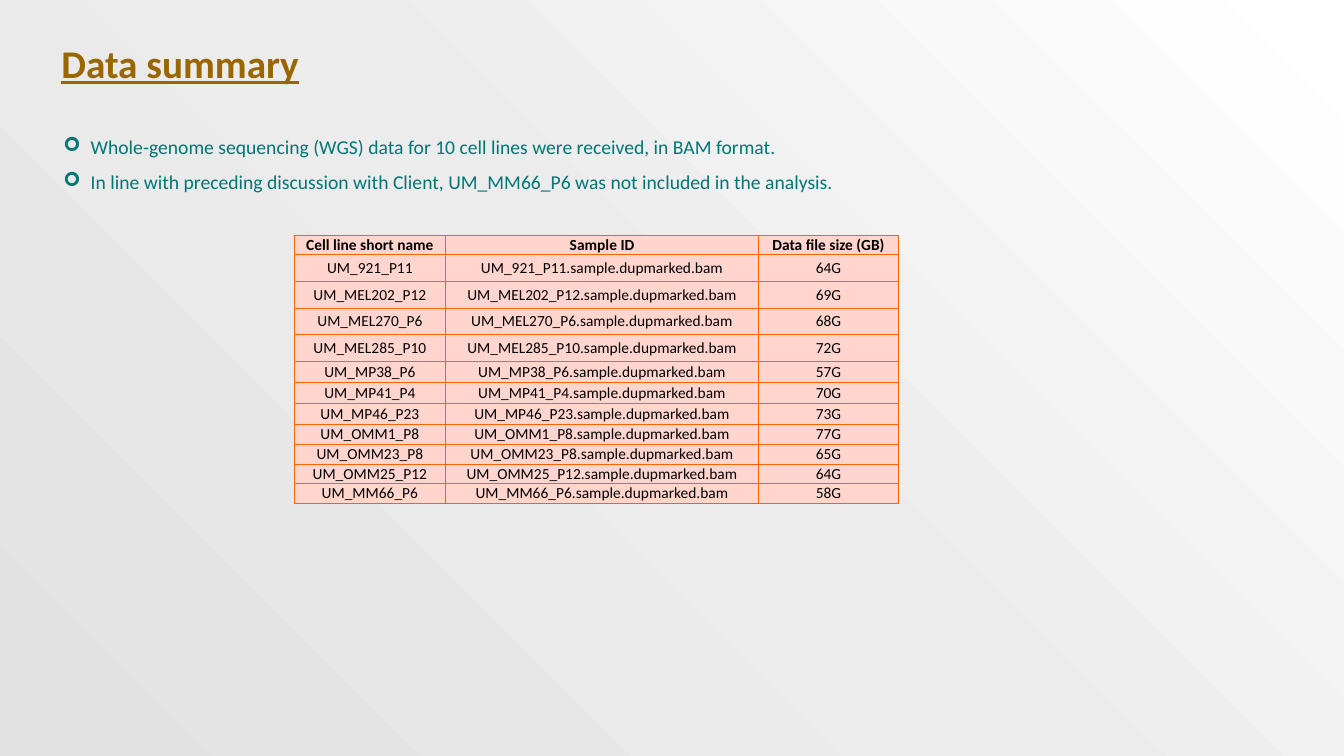
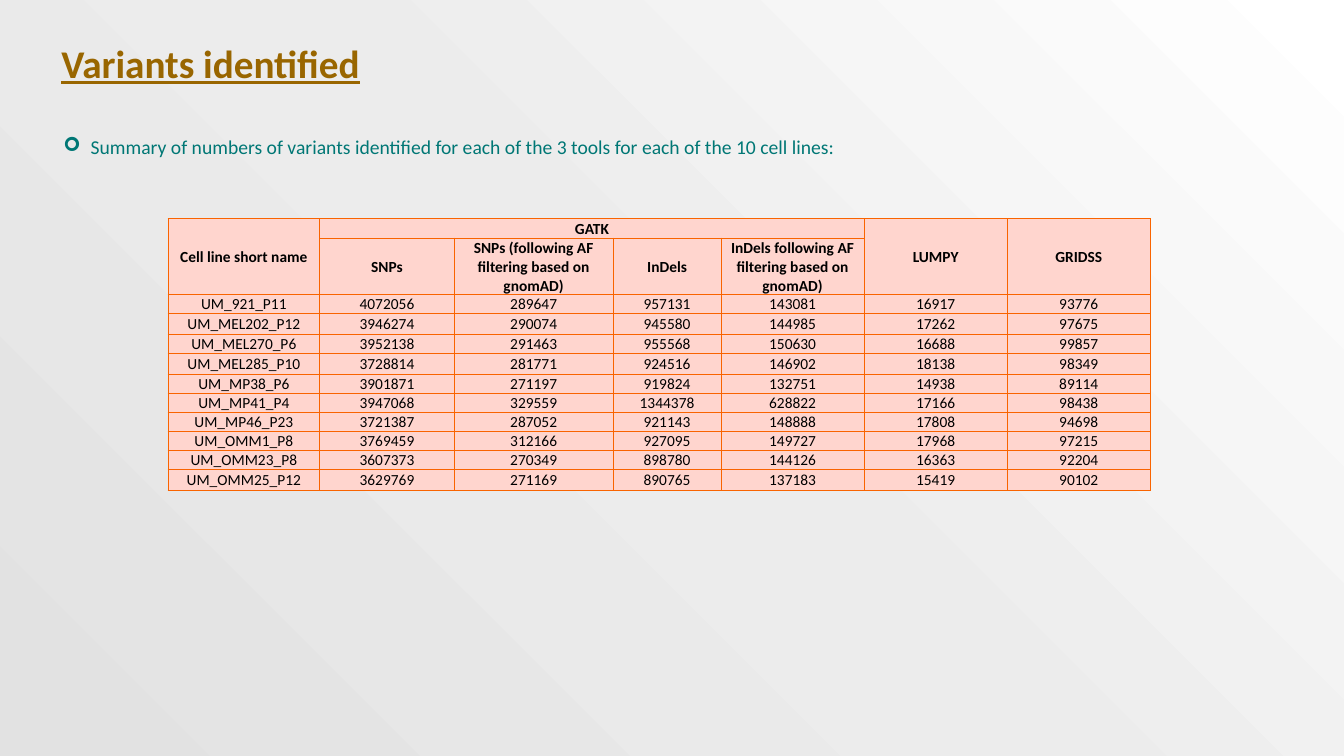
from copy import deepcopy

from lxml.etree import SubElement
from pptx import Presentation
from pptx.dml.color import RGBColor
from pptx.enum.text import MSO_ANCHOR as Anchor, PP_ALIGN as Align
from pptx.oxml.ns import qn
from pptx.util import Inches, Pt

FONT = "Calibri"
TITLE_COLOUR = "996600"
BULLET_COLOUR = "007775"
CELL_TEXT = "000000"
CELL_FILL = "FFD5CE"
CELL_BORDER = "F96400"
BACKDROP = [(0, "E2E2E2"), (0.5, "ECECEC"), (1, "FFFFFF")]

SAMPLES = [
    ("UM_921_P11", "64G"), ("UM_MEL202_P12", "69G"), ("UM_MEL270_P6", "68G"),
    ("UM_MEL285_P10", "72G"), ("UM_MP38_P6", "57G"), ("UM_MP41_P4", "70G"),
    ("UM_MP46_P23", "73G"), ("UM_OMM1_P8", "77G"), ("UM_OMM23_P8", "65G"),
    ("UM_OMM25_P12", "64G"), ("UM_MM66_P6", "58G"),
]
VARIANT_COUNTS = [
    (4072056, 289647, 957131, 143081, 16917, 93776),
    (3946274, 290074, 945580, 144985, 17262, 97675),
    (3952138, 291463, 955568, 150630, 16688, 99857),
    (3728814, 281771, 924516, 146902, 18138, 98349),
    (3901871, 271197, 919824, 132751, 14938, 89114),
    (3947068, 329559, 1344378, 628822, 17166, 98438),
    (3721387, 287052, 921143, 148888, 17808, 94698),
    (3769459, 312166, 927095, 149727, 17968, 97215),
    (3607373, 270349, 898780, 144126, 16363, 92204),
    (3629769, 271169, 890765, 137183, 15419, 90102),
]


def colour(value):
    return RGBColor.from_string(value)


def write(paragraph, text, size=11, color=CELL_TEXT, bold=False,
          underline=False, align=Align.LEFT, spacing=None):
    paragraph.alignment = align
    if spacing:
        paragraph.line_spacing = spacing
    run = paragraph.add_run()
    run.text = text
    font = run.font
    font.name, font.size = FONT, Pt(size)
    font.bold, font.underline = bold, underline
    font.color.rgb = colour(color)


def add_bullet(paragraph, symbol, indent):
    properties = paragraph._p.get_or_add_pPr()
    properties.set("marL", str(indent))
    properties.set("indent", str(-indent))
    SubElement(properties, qn("a:buFont"), typeface="Wingdings")
    SubElement(properties, qn("a:buChar"), char=symbol)


def add_borders(cell, width=0.75):
    properties = cell._tc.get_or_add_tcPr()
    for side in ("lnL", "lnR", "lnT", "lnB"):
        line = SubElement(properties, qn(f"a:{side}"), w=str(Pt(width)))
        fill = SubElement(line, qn("a:solidFill"))
        SubElement(fill, qn("a:srgbClr"), val=CELL_BORDER)


class Deck:
    """Shared style and current slide; lengths are percentages of the slide."""

    def __init__(self):
        self.presentation = Presentation()
        self.presentation.slide_width = Inches(13.33)
        self.presentation.slide_height = Inches(7.5)
        self.slide = None
        self.paint_backdrop()

    def across(self, percent):
        return round(self.presentation.slide_width * percent / 100)

    def down(self, percent):
        return round(self.presentation.slide_height * percent / 100)

    def box(self, left, top, width, height):
        return (self.across(left), self.down(top),
                self.across(width), self.down(height))

    def paint_backdrop(self):
        master = self.presentation.slide_master
        fill = master.background.fill
        fill.gradient()
        fill.gradient_angle = 45
        stop_list = master.element.find(".//" + qn("a:gsLst"))
        stop_list.append(deepcopy(stop_list[-1]))
        for stop, (position, value) in zip(fill.gradient_stops, BACKDROP):
            stop.position = position
            stop.color.rgb = colour(value)

    def add_slide(self, title):
        blank = self.presentation.slide_layouts[6]
        self.slide = self.presentation.slides.add_slide(blank)
        frame = self.add_text_frame(3.83, 4.13, 71.87, 8.4)
        frame.vertical_anchor = Anchor.MIDDLE
        write(frame.paragraphs[0], title, size=28, color=TITLE_COLOUR,
              bold=True, underline=True)

    def add_text_frame(self, *area):
        frame = self.slide.shapes.add_textbox(*self.box(*area)).text_frame
        frame.word_wrap = True
        return frame

    def add_bullets(self, *lines):
        frame = self.add_text_frame(3.98, 15.6, 92, 5 * len(lines) + 1.5)
        for index, line in enumerate(lines):
            paragraph = frame.add_paragraph() if index else frame.paragraphs[0]
            write(paragraph, line, size=14, color=BULLET_COLOUR, spacing=1.5)
            add_bullet(paragraph, "➢", Inches(0.27))

    def add_table(self, left, top, widths, heights, rows, headers=1, merges=()):
        """Merges are pairs of (row, column) corners."""
        area = self.box(left, top, sum(widths), sum(heights))
        table = self.slide.shapes.add_table(len(rows), len(widths), *area).table
        table.first_row = table.horz_banding = False
        for column, width in zip(table.columns, widths):
            column.width = self.across(width)
        for row, height in zip(table.rows, heights):
            row.height = self.down(height)
        for first, last in merges:
            table.cell(*first).merge(table.cell(*last))
        for row_index, values in enumerate(rows):
            for column_index, value in enumerate(values):
                self.fill_cell(table.cell(row_index, column_index), str(value),
                               row_index < headers)

    def fill_cell(self, cell, text, header):
        inset = Inches(0.01 if header else 0)
        cell.margin_left = cell.margin_right = cell.margin_top = inset
        cell.margin_bottom = 0
        cell.vertical_anchor = Anchor.MIDDLE
        add_borders(cell)
        cell.fill.solid()
        cell.fill.fore_color.rgb = colour(CELL_FILL)
        write(cell.text_frame.paragraphs[0], text, bold=header,
              align=Align.CENTER)


def add_data_summary(deck):
    deck.add_slide("Data summary")
    deck.add_bullets(
        "Whole-genome sequencing (WGS) data for 10 cell lines were received, "
        "in BAM format.",
        "In line with preceding discussion with Client, UM_MM66_P6 was not "
        "included in the analysis.")
    rows = [("Cell line short name", "Sample ID", "Data file size (GB)")]
    rows += [(name, f"{name}.sample.dupmarked.bam", size)
             for name, size in SAMPLES]
    deck.add_table(21.9, 31.1, widths=[11.25, 23.3, 10.4],
                   heights=[2.6, 3.5, 3.6, 3.5, 3.5] + [2.8] * 3 + [2.6] * 4,
                   rows=rows)


def add_variants(deck):
    deck.add_slide("Variants identified")
    deck.add_bullets("Summary of numbers of variants identified for each of "
                     "the 3 tools for each of the 10 cell lines:")
    rows = [
        ("Cell line short name", "GATK", "", "", "", "LUMPY", "GRIDSS"),
        ("", "SNPs", "SNPs (following AF filtering based on gnomAD)",
         "InDels", "InDels following AF filtering based on gnomAD)", "", ""),
    ]
    rows += [(name, *counts)
             for (name, _), counts in zip(SAMPLES, VARIANT_COUNTS)]
    deck.add_table(12.5, 28.9,
                   widths=[11.3, 10, 11.83, 8.03] + [10.65] * 3,
                   heights=[2.5, 7.5, 2.5, 2.8, 2.5, 2.8] + [2.5] * 5 + [2.8],
                   rows=rows, headers=2,
                   merges=[((0, 0), (1, 0)), ((0, 1), (0, 4)),
                           ((0, 5), (1, 5)), ((0, 6), (1, 6))])


def main():
    deck = Deck()
    add_data_summary(deck)
    add_variants(deck)
    deck.presentation.save("out.pptx")


if __name__ == "__main__":
    main()
